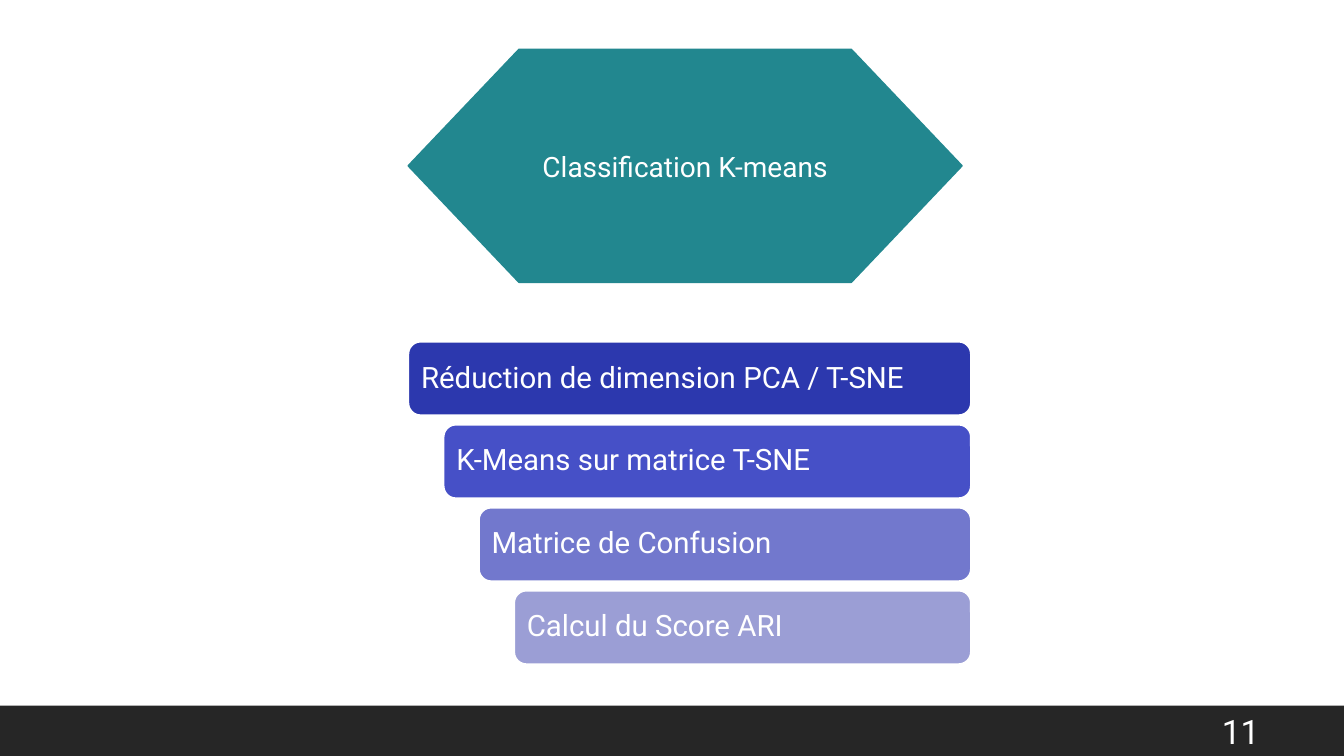
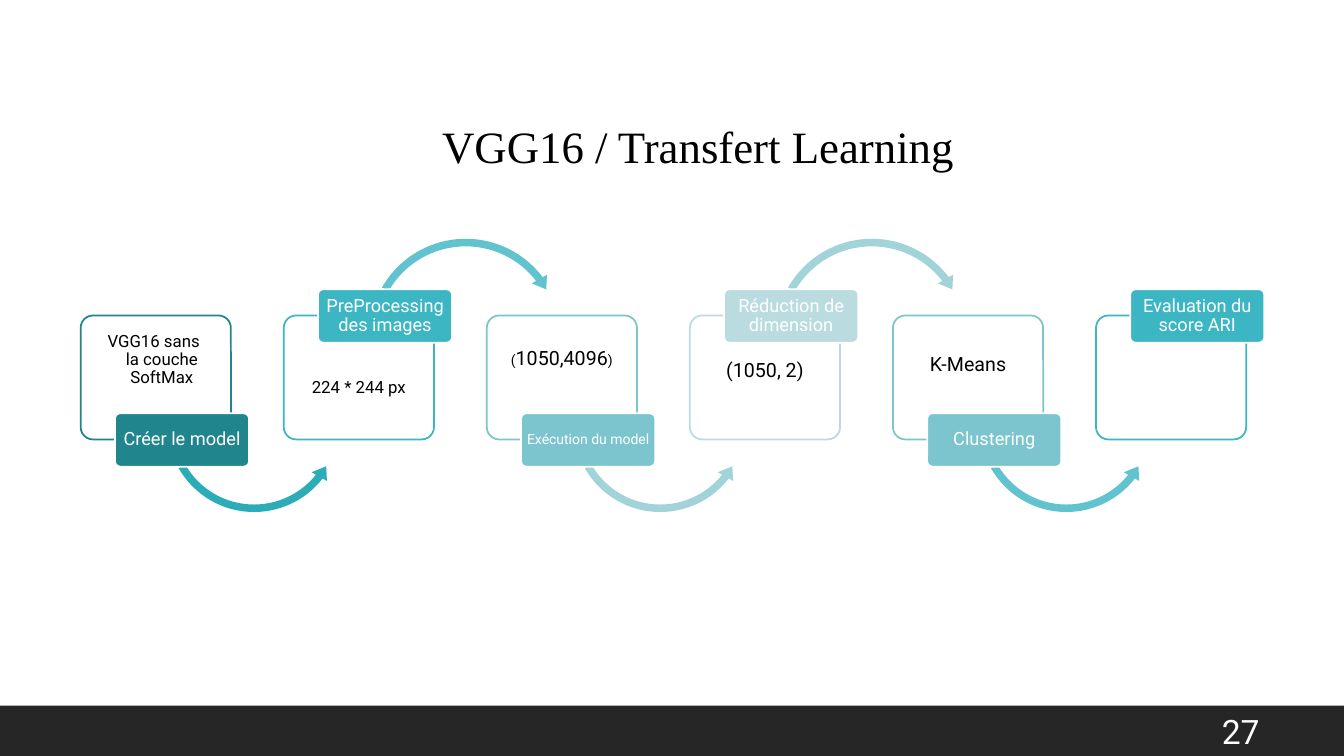
"""Two slides of an image classification talk."""
from pptx import Presentation
from pptx import util as u
from pptx.dml.color import RGBColor
from pptx.enum import shapes, text

INK = {
    "white": "FFFFFF", "black": "000000", "band": "262626", "hex": "22878F",
    "deep": "21858D", "teal": "3BB6C2", "soft": "7DC5CE", "pale": "BADBDF",
    "arc1": "2BACB6", "arc2": "60C3CD", "arc3": "A1D3D9",
    "bar1": "2C38AE", "bar2": "4650C7", "bar3": "7278CD", "bar4": "9B9ED5",
}
KIND = shapes.MSO_SHAPE
ALIGN = text.PP_ALIGN
MID, TOP = text.MSO_ANCHOR.MIDDLE, text.MSO_ANCHOR.TOP
WIDE, HIGH = 13.33, 7.5
BARS = [
    ("Réduction de dimension PCA / T-SNE", "bar1"),
    ("K-Means sur matrice T-SNE", "bar2"),
    ("Matrice de Confusion", "bar3"),
    ("Calcul du Score ARI", "bar4"),
]
STEPS = [
    ("Créer le model", 13, "deep", "arc1", 0, [("VGG16 sans \nla couche SoftMax", 12)]),
    ("PreProcessing des images", 13, "teal", "arc2", 0.18, [("224 * 244 px", 12)]),
    ("Exécution du model", 10, "soft", "arc3", 0.15,
     [("(", 10), ("1050,4096", 14), (")", 10)]),
    ("Réduction de dimension", 13, "pale", "arc3", 0, [("(1050, 2)", 14)]),
    ("Clustering", 13, "soft", "arc2", 0.21, [("K-Means", 14)]),
    ("Evaluation du score ARI", 13, "teal", None, 0, []),
]
ARC_UP = (KIND.CIRCULAR_ARROW, (0.037, 4.62, 193.625, 125.755, 0.043))
ARC_DOWN = (KIND.LEFT_CIRCULAR_ARROW, (0.041, 5.153, 22.908, 90.245, 0.048))


def tint(name):
    """Return a named colour."""
    return RGBColor.from_string(INK[name])


def put(slide, kind, box, fill, line=None, adj=()):
    """Add a preset shape with a plain fill and an optional outline."""
    shape = slide.shapes.add_shape(kind, *map(u.Inches, box))
    shape.shadow.inherit = False
    shape.fill.solid()
    shape.fill.fore_color.rgb = tint(fill)
    if line:
        shape.line.color.rgb = tint(line)
        shape.line.width = u.Pt(1.25)
    else:
        shape.line.fill.background()
    for i, value in enumerate(adj):
        shape.adjustments[i] = value
    return shape


def write(shape, runs, ink="white", align=ALIGN.CENTER, pad=(0.1, 0.05, 0.1, 0.05),
          anchor=MID, font="Roboto", space=1.0, hang=0):
    """Write one paragraph of (words, size) runs into a shape."""
    frame = shape.text_frame
    frame.word_wrap = True
    frame.vertical_anchor = anchor
    (frame.margin_left, frame.margin_top,
     frame.margin_right, frame.margin_bottom) = map(u.Inches, pad)
    para = frame.paragraphs[0]
    para.alignment = align
    para.line_spacing = space
    if hang:
        props = para._p.get_or_add_pPr()
        props.set("marL", str(u.Inches(hang)))
        props.set("indent", str(u.Inches(-hang)))
    for words, size in runs:
        for i, part in enumerate(words.split("\n")):
            if i:
                para.add_line_break()
            run = para.add_run()
            run.text = part
            run.font.size = u.Pt(size)
            run.font.name = font
            run.font.color.rgb = tint(ink)


def label(slide, box, runs, **style):
    """Add a text box."""
    write(slide.shapes.add_textbox(*map(u.Inches, box)), runs, **style)


def base(deck, num):
    """Add a blank slide with its footer band and number."""
    slide = deck.slides.add_slide(deck.slide_layouts[6])
    put(slide, KIND.RECTANGLE, (0, HIGH - 0.5, WIDE, 0.5), "band")
    label(slide, (12.02, HIGH - 0.45, 0.85, 0.4), [(num, 24)], align=ALIGN.LEFT)
    return slide


def stairs(slide, box):
    """Stack bars whose left edges step inward."""
    x, y, w, h = box
    tall, inset = 0.73, 0.35
    pitch = (h - tall) / (len(BARS) - 1)
    for i, (words, fill) in enumerate(BARS):
        cut = i * inset
        bar = put(slide, KIND.ROUNDED_RECTANGLE,
                  (x + cut, y + i * pitch, w - cut, tall), fill, "white")
        write(bar, [(words, 21)], align=ALIGN.LEFT, pad=(0.09,) * 4, space=0.9)


def step(slide, x, y, data, high):
    """Draw one card with its tag and the arrow leaving it."""
    name, size, hue, arc, drop, runs = data
    card = put(slide, KIND.ROUNDED_RECTANGLE, (x, y, 1.49, 1.23), "white", hue, (0.1,))
    if runs:
        top = 0.14 + drop + (0.27 if high else 0)
        write(card, runs, "black", pad=(0.14, top, 0.14, 0.14),
              anchor=TOP, space=0.9, hang=0.12)
    if arc:
        kind, adj = ARC_UP if high else ARC_DOWN
        side = 2.01 if high else 1.82
        dx, dy = (0.8, -0.81) if high else (0.81, 0.18)
        put(slide, kind, (x + dx, y + dy, side, side), arc, adj=adj)
    tag = put(slide, KIND.ROUNDED_RECTANGLE,
              (x + 0.34, y + (-0.26 if high else 0.97), 1.33, 0.53), hue, "white", (0.1,))
    write(tag, [(name, size)], pad=(0.03, 0.02, 0.03, 0.02), space=0.9)


def flow(slide, box):
    """Spread the steps evenly, tags alternating below and above."""
    x, y, w = box
    pitch = (w - 1.67) / (len(STEPS) - 1)
    for i, data in enumerate(STEPS):
        step(slide, x + i * pitch, y, data, i % 2 == 1)


def means(deck):
    """Build the K-means slide."""
    slide = base(deck, "11")
    stairs(slide, (4.05, 3.39, 5.58, 3.2))
    head = put(slide, KIND.FLOWCHART_PREPARATION, (4.05, 0.49, 5.49, 2.31), "hex", "hex")
    write(head, [("Classification K-means", 20)])


def learn(deck):
    """Build the transfer learning slide."""
    slide = base(deck, "27")
    flow(slide, (0.8, 3.13, 11.74))
    label(slide, (1.5, 0.48, 10.96, 1.92), [("VGG16 / Transfert Learning ", 32)],
          ink="black", font="Times New Roman")


def main():
    """Build and save the deck."""
    deck = Presentation()
    deck.slide_width, deck.slide_height = u.Inches(WIDE), u.Inches(HIGH)
    means(deck)
    learn(deck)
    deck.save("out.pptx")


if __name__ == "__main__":
    main()
